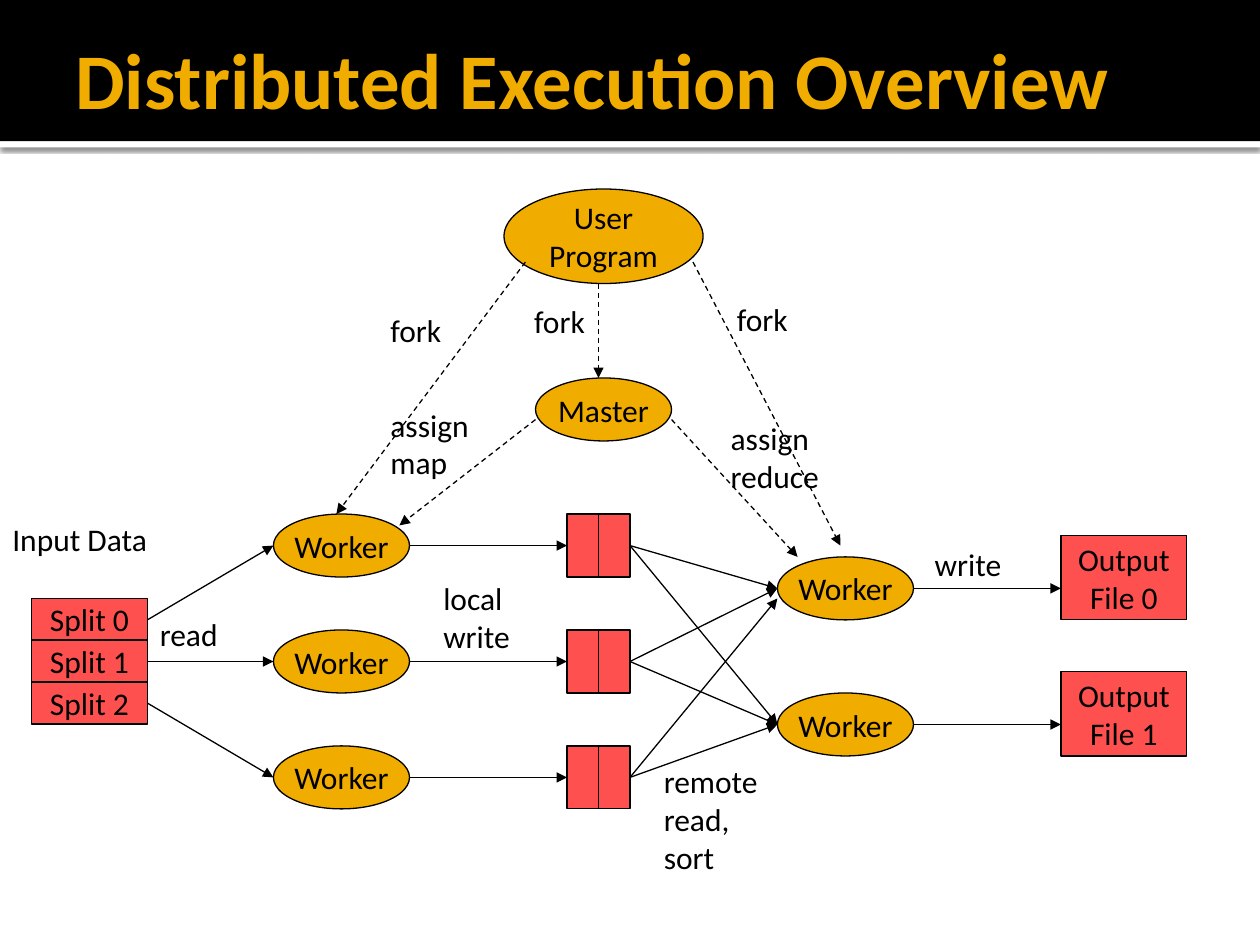
from dataclasses import dataclass

from lxml import etree
from pptx import Presentation
from pptx import util as u
from pptx.dml.color import RGBColor
from pptx.enum import dml, shapes, text
from pptx.oxml import ns

COLORS = {"black": "000000", "white": "FFFFFF", "gold": "F0AD00", "red": "FF5050"}
FONT = "Calibri"
NODE_W, NODE_H = 1.08, 0.5
OVAL, RECT = shapes.MSO_SHAPE.OVAL, shapes.MSO_SHAPE.RECTANGLE


@dataclass
class Node:
    left: float
    top: float
    lines: tuple = ()
    width: float = NODE_W
    height: float = NODE_H
    color: str = "gold"
    kind: int = OVAL


@dataclass
class Label:
    left: float
    top: float
    width: float
    lines: tuple


@dataclass
class Arrow:
    start: tuple
    end: tuple
    dashed: bool = False


def rgb(name: str) -> RGBColor:
    return RGBColor.from_string(COLORS[name])


def write_lines(frame, lines: tuple, align, size: float = 18,
                color: str = "black", bold: bool = False) -> None:
    for i, line in enumerate(lines):
        paragraph = frame.paragraphs[0] if i == 0 else frame.add_paragraph()
        paragraph.alignment = align
        run = paragraph.add_run()
        run.text = line
        run.font.name, run.font.size, run.font.bold = FONT, u.Pt(size), bold
        run.font.color.rgb = rgb(color)


def draw_block(slide, node: Node, outlined: bool = True):
    block = slide.shapes.add_shape(node.kind, u.Inches(node.left), u.Inches(node.top),
                                   u.Inches(node.width), u.Inches(node.height))
    block.shadow.inherit = False
    block.fill.solid()
    block.fill.fore_color.rgb = rgb(node.color)
    if outlined:
        block.line.color.rgb = rgb("black")
        block.line.width = u.Pt(0.75)
    else:
        block.line.fill.background()
    frame = block.text_frame
    frame.word_wrap = False
    frame.vertical_anchor = text.MSO_ANCHOR.MIDDLE
    write_lines(frame, node.lines, text.PP_ALIGN.CENTER)
    return block


def draw_label(slide, label: Label) -> None:
    box = slide.shapes.add_textbox(u.Inches(label.left), u.Inches(label.top),
                                   u.Inches(label.width),
                                   u.Inches(0.1 + 0.3 * len(label.lines)))
    box.text_frame.word_wrap = True
    write_lines(box.text_frame, label.lines, text.PP_ALIGN.LEFT)


def draw_arrow(slide, arrow: Arrow) -> None:
    line = slide.shapes.add_connector(shapes.MSO_CONNECTOR.STRAIGHT,
                                      *map(u.Inches, arrow.start + arrow.end))
    line.line.color.rgb = rgb("black")
    line.line.width = u.Pt(0.75)
    if arrow.dashed:
        line.line.dash_style = dml.MSO_LINE.DASH
    etree.SubElement(line.line._get_or_add_ln(), ns.qn("a:tailEnd"), type="triangle")
    etree.SubElement(line._element.spPr, ns.qn("a:effectLst"))


def draw_header(slide) -> None:
    rule = draw_block(slide, Node(0, 1.12, (), 10, 0.05, "white", RECT), False)
    effects = rule._element.spPr.find(ns.qn("a:effectLst"))
    shadow = etree.SubElement(effects, ns.qn("a:outerShdw"), blurRad=str(u.Pt(2.5)),
                              dist=str(u.Pt(0.8)), dir="5400000",
                              algn="tl", rotWithShape="0")
    tint = etree.SubElement(shadow, ns.qn("a:srgbClr"), val=COLORS["black"])
    etree.SubElement(tint, ns.qn("a:alpha"), val="60000")
    draw_block(slide, Node(0, 0, (), 10, 1.12, "black", RECT), False)

    title = slide.shapes.add_textbox(u.Inches(0.5), u.Inches(0.08),
                                     u.Inches(9), u.Inches(1.08)).text_frame
    title.word_wrap = True
    title.margin_right = u.Inches(0.05)
    title.vertical_anchor = text.MSO_ANCHOR.MIDDLE
    write_lines(title, ("Distributed Execution Overview",), text.PP_ALIGN.LEFT,
                45, "gold", True)


def main() -> None:
    prs = Presentation()
    prs.slide_width, prs.slide_height = u.Inches(10), u.Inches(7.5)
    slide = prs.slides.add_slide(prs.slide_layouts[6])
    draw_header(slide)

    # Columns of the data flow, left to right
    split_right, map_left, buffer_left, buffer_right = 1.17, 2.17, 4.5, 5
    reduce_left, output_left = 6.17, 8.42
    map_centers = [4.33, 5.25, 6.17]
    reduce_centers = [4.67, 5.75]

    # User program, master and the forks and assignments they make
    nodes = [Node(4, 1.5, ("User", "Program"), 1.58, 0.75),
             Node(4.25, 3, ("Master",))]
    arrows = [Arrow(start, end, True) for start, end in (
        ((4.75, 2.25), (4.75, 3)),
        ((4.17, 2.08), (2.67, 4.08)),
        ((5.5, 2.08), (6.67, 4.33)),
        ((4.25, 3.33), (3.17, 4.17)),
        ((5.33, 3.33), (6.33, 4.42)),
    )]

    # Input splits, map workers and their local buffers
    for i, center in enumerate(map_centers):
        split_center = 4.92 + 0.33 * i
        top = center - NODE_H / 2
        nodes += [Node(0.25, 4.75 + i / 3, (f"Split {i}",), 0.92, 0.33, "red", RECT),
                  Node(map_left, top, ("Worker",))]
        nodes += [Node(buffer_left + 0.25 * half, top, (), 0.25, NODE_H, "red", RECT)
                  for half in range(2)]
        arrows += [Arrow((split_right, split_center), (map_left, center)),
                   Arrow((map_left + NODE_W, center), (buffer_left, center))]

    # Reduce workers, each reading every buffer, and the output files
    for i, center in enumerate(reduce_centers):
        nodes += [Node(reduce_left, center - NODE_H / 2, ("Worker",)),
                  Node(output_left, center - 0.42, ("Output", f"File {i}"),
                       1, 0.67, "red", RECT)]
        arrows.append(Arrow((reduce_left + NODE_W, center), (output_left, center)))
        for buffer_center in map_centers:
            # The steepest upward arrow lands slightly lower on the worker
            steep = i == 0 and buffer_center == map_centers[-1]
            arrows.append(Arrow((buffer_right, buffer_center),
                                (reduce_left, center + (0.08 if steep else 0))))

    labels = [
        Label(3, 2.42, 0.69, ("fork",)),
        Label(4.14, 2.35, 0.69, ("fork",)),
        Label(5.75, 2.33, 0.69, ("fork",)),
        Label(3, 3.17, 0.99, ("assign", "map")),
        Label(5.7, 3.28, 1.05, ("assign", "reduce")),
        Label(1.17, 4.83, 0.76, ("read",)),
        Label(3.42, 4.55, 0.83, ("local", "write")),
        Label(5.17, 6, 1.1, ("remote", "read,", "sort")),
        Label(7.32, 4.28, 0.83, ("write",)),
        Label(0, 4.08, 1.56, ("Input Data",)),
    ]

    for node in nodes:
        draw_block(slide, node)
    for arrow in arrows:
        draw_arrow(slide, arrow)
    for label in labels:
        draw_label(slide, label)

    prs.save("out.pptx")


if __name__ == "__main__":
    main()
